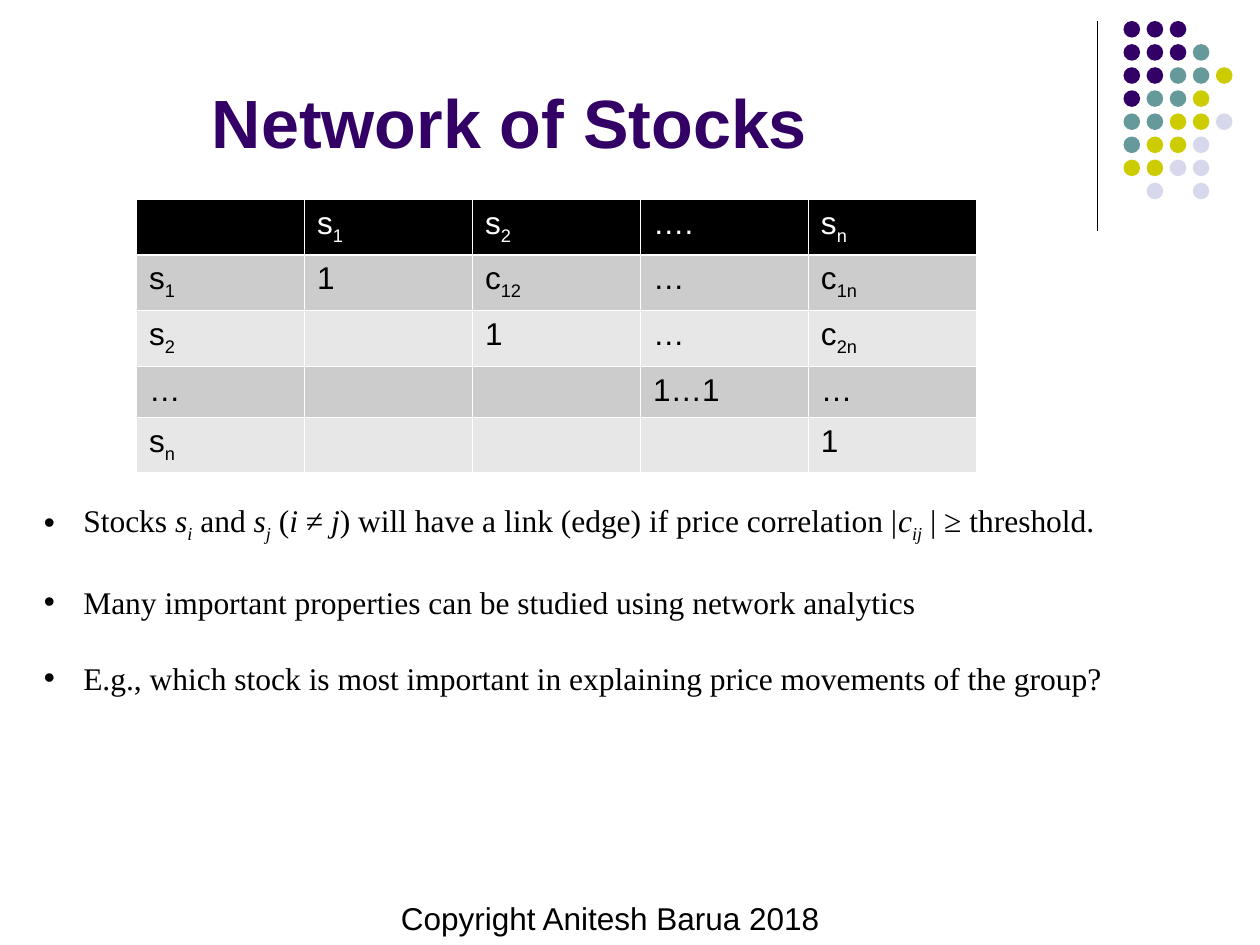
from dataclasses import dataclass
from typing import Any

from lxml.etree import SubElement
from pptx import Presentation
from pptx.dml.color import RGBColor
from pptx.enum.shapes import MSO_CONNECTOR as Connector, MSO_SHAPE as Shape
from pptx.enum.text import MSO_ANCHOR as Anchor
from pptx.oxml.ns import qn
from pptx.util import Pt


def color(value):
    """Turn a hex string into a colour."""
    return RGBColor.from_string(value)


@dataclass
class SlideBuilder:
    """Draw styled elements on the current slide."""

    page: Any
    sans: str = "Arial"
    serif: str = "Times New Roman"
    ink: str = "000000"
    accent: str = "330066"
    size: int = 18

    def fill_para(self, para, markup, font=None, size=None, ink=None, bold=False):
        """Fill a paragraph, with *italic* and _subscript_ marks."""
        style = para.font
        style.name, style.size, style.bold = font or self.sans, Pt(size or self.size), bold
        style.color.rgb = color(ink or self.ink)
        for i, part in enumerate(markup.split("*")):
            for j, text in enumerate(part.split("_")):
                if text:
                    span = para.add_run()
                    span.text = text
                    if i % 2:
                        span.font.italic = True
                    if j % 2:
                        span.font._element.set("baseline", "-25000")

    def text(self, x, y, width, height, lines, anchor=Anchor.TOP, gap=0, bullet=False, wrap=True, **style):
        """Add a text box with one paragraph per line."""
        frame = self.page.shapes.add_textbox(Pt(x), Pt(y), Pt(width), Pt(height)).text_frame
        frame.word_wrap, frame.vertical_anchor = wrap, anchor
        for index, line in enumerate(lines):
            para = frame.add_paragraph() if index else frame.paragraphs[0]
            para.space_before = Pt(gap if index else 0)
            if bullet:
                self.bullet(para)
            self.fill_para(para, line, **style)

    def bullet(self, para, indent=22.5):
        """Give a paragraph a hanging bullet."""
        props = para._p.get_or_add_pPr()
        props.set("marL", str(Pt(indent)))
        props.set("indent", str(-Pt(indent)))
        SubElement(props, qn("a:buFont"), typeface=self.sans)
        SubElement(props, qn("a:buChar"), char="•")

    def table(self, x, y, width, height, rows, fills):
        """Add a table with a header fill and two alternating row fills."""
        grid = self.page.shapes.add_table(
            len(rows), len(rows[0]), Pt(x), Pt(y), Pt(width), Pt(height)).table
        for r, row in enumerate(rows):
            for c, markup in enumerate(row):
                cell = grid.cell(r, c)
                cell.fill.solid()
                cell.fill.fore_color.rgb = color(fills[(r - 1) % 2 + 1 if r else 0])
                self.fill_para(cell.text_frame.paragraphs[0], markup, ink=None if r else "FFFFFF")

    def line(self, x1, y1, x2, y2, weight=0.75):
        """Add a straight line."""
        rule = self.page.shapes.add_connector(Connector.STRAIGHT, Pt(x1), Pt(y1), Pt(x2), Pt(y2))
        rule.line.color.rgb, rule.line.width = color(self.ink), Pt(weight)
        SubElement(rule._element.spPr, qn("a:effectLst"))

    def dot(self, x, y, diameter, fill):
        """Add a filled dot."""
        dot = self.page.shapes.add_shape(Shape.OVAL, Pt(x), Pt(y), Pt(diameter), Pt(diameter))
        dot.shadow.inherit = False
        dot.fill.solid()
        dot.fill.fore_color.rgb = color(fill)
        dot.line.fill.background()

    def dots(self, x, y, pitch, diameter, pattern, palette):
        """Add a grid of dots from rows of palette letters."""
        for r, row in enumerate(pattern):
            for c, key in enumerate(row):
                if key in palette:
                    self.dot(x + c * pitch, y + r * pitch, diameter, palette[key])


def main():
    """Build the slide and save it."""
    deck = Presentation()
    deck.slide_width, deck.slide_height = Pt(720), Pt(540)
    builder = SlideBuilder(deck.slides.add_slide(deck.slide_layouts[6]))

    builder.line(627, 12, 627, 132)
    palette = {"P": builder.accent, "T": "669999", "Y": "CCCC00", "L": "D8D8EC"}
    pattern = ["PPP", "PPPT", "PPTTY", "PTTY", "TTYYL", "TYYL", "YYLL", " L L"]
    builder.dots(642, 12, 13.2, 9.5, pattern, palette)

    builder.text(114, -6, 594, 102, ["Network of Stocks"], Anchor.BOTTOM,
                 size=39, ink=builder.accent, bold=True)
    correlations = [
        ["", "s_1_", "s_2_", "….", "s_n_"],
        ["s_1_", "1", "c_12_", "…", "c_1n_"],
        ["s_2_", "", "1", "…", "c_2n_"],
        ["…", "", "", "1…1", "…"],
        ["s_n_", "", "", "", "1"],
    ]
    builder.table(78, 114, 480, 146, correlations, ["000000", "CCCCCC", "E7E7E7"])
    points = [
        "Stocks *s_i_* and *s_j_* (*i* ≠ *j*) will have a link (edge) "
        "if price correlation |*c_ij_* | ≥ threshold.",
        "Many important properties can be studied using network analytics",
        "E.g., which stock is most important in explaining price movements of the group?",
    ]
    builder.text(18, 283, 660, 117, points, gap=22, bullet=True, wrap=False, font=builder.serif)
    builder.text(222, 510, 256, 29, ["Copyright Anitesh Barua 2018"], wrap=False)
    deck.save("out.pptx")


if __name__ == "__main__":
    main()
